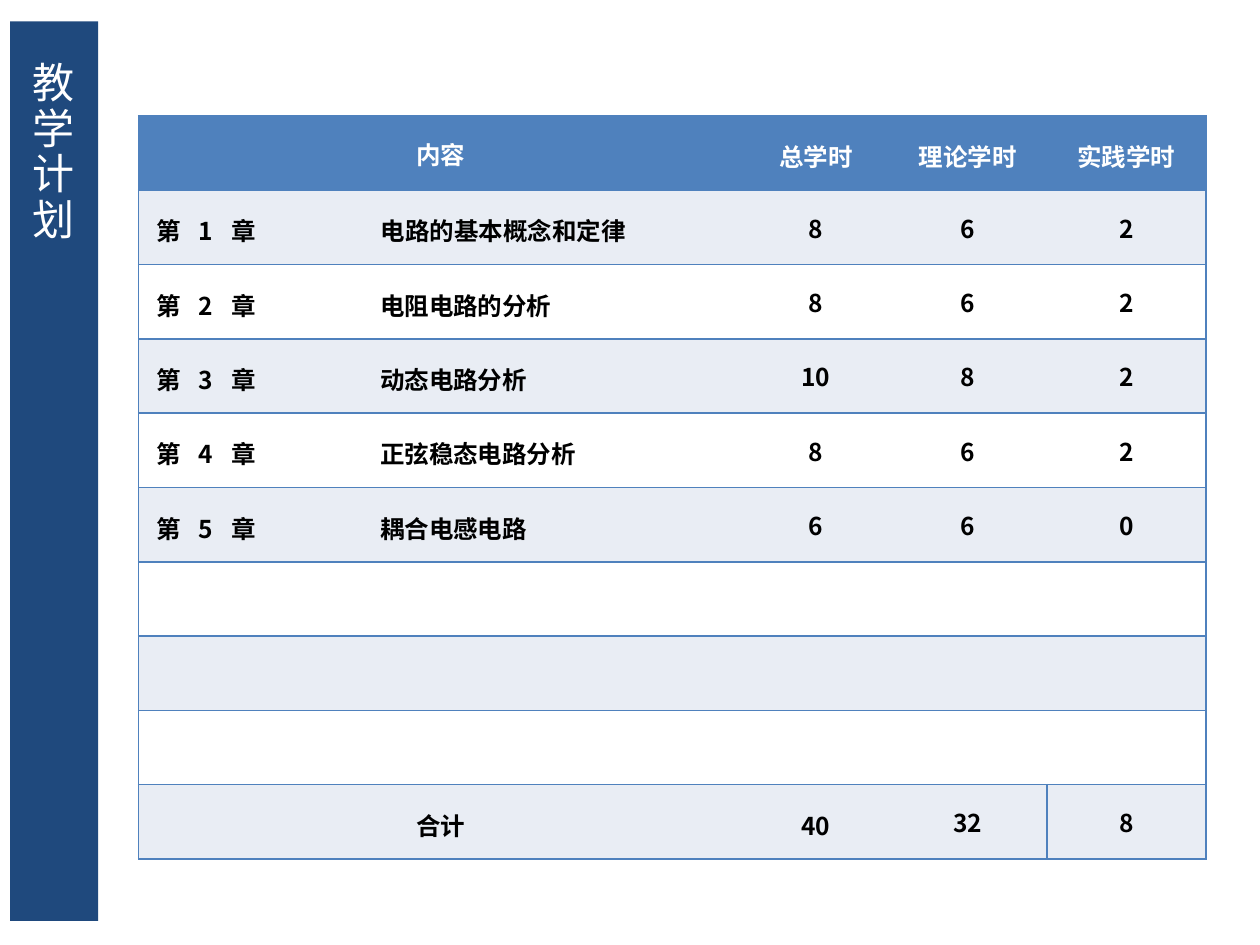
import pptx
import pptx.dml.color
import pptx.enum.shapes
import pptx.enum.text
import pptx.oxml
import pptx.oxml.ns
import pptx.util

Inches = pptx.util.Inches
Pt = pptx.util.Pt
ALIGN = pptx.enum.text.PP_ALIGN
MIDDLE = pptx.enum.text.MSO_ANCHOR.MIDDLE

COLORS = {
    "sidebar": "1F497D",
    "accent": "4F81BD",
    "band": "E9EDF4",
    "white": "FFFFFF",
    "black": "000000",
}
LATIN_FONT = "Cabin"
CHINESE_FONT = "Noto Sans CJK SC"
PLAIN_TABLE_STYLE = "{2D5ABB26-0587-4C30-8999-92F81FD0307C}"

COLUMN_WIDTHS = [1.85, 2.95, 1.15, 1.26, 1.26]
ROW_HEIGHT = 0.59
CHAPTERS = [
    ("电路的基本概念和定律", 8, 6, 2),
    ("电阻电路的分析", 8, 6, 2),
    ("动态电路分析", 10, 8, 2),
    ("正弦稳态电路分析", 8, 6, 2),
    ("耦合电感电路", 6, 6, 0),
]
EMPTY_ROWS = 3
PLAN = (
    [("内容", "", "总学时", "理论学时", "实践学时")]
    + [(f"第 {number} 章", *chapter) for number, chapter in enumerate(CHAPTERS, 1)]
    + [("",) * len(COLUMN_WIDTHS)] * EMPTY_ROWS
    + [("合计", "", 40, 32, 8)]
)
LAST_ROW = len(PLAN) - 1
LAST_COLUMN = len(COLUMN_WIDTHS) - 1


def rgb(name):
    return pptx.dml.color.RGBColor.from_string(COLORS[name])


def apply_format(target, values):
    for attribute, value in values.items():
        setattr(target, attribute, value)


def style_run(run, latin, size, color, bold=False, spacing=0):
    """Set the font of a run; spacing is in points between characters."""
    apply_format(run.font, {"name": latin, "size": Pt(size), "bold": bold})
    run.font.color.rgb = rgb(color)
    properties = run._r.get_or_add_rPr()
    properties.append(pptx.oxml.parse_xml(
        f'<a:ea {pptx.oxml.ns.nsdecls("a")} typeface="{CHINESE_FONT}"/>'))
    if spacing:
        properties.set("spc", str(round(spacing * 100)))


def add_sidebar(slide):
    sidebar = slide.shapes.add_shape(
        pptx.enum.shapes.MSO_SHAPE.RECTANGLE,
        Inches(0.08), Inches(0.17), Inches(0.7), Inches(7.14))
    sidebar.shadow.inherit = False
    sidebar.fill.solid()
    sidebar.fill.fore_color.rgb = rgb("sidebar")
    sidebar.line.fill.background()
    # Keep the bar behind the title
    slide.shapes.element.insert(2, sidebar.element)


def set_vertical_title(slide, text):
    title = slide.shapes.title
    apply_format(title, {"left": Inches(0.12), "top": Inches(0.44),
                         "width": Inches(0.59), "height": Inches(6.72)})
    frame = title.text_frame
    frame.text = text
    apply_format(frame, {"word_wrap": True, "vertical_anchor": MIDDLE,
                         "auto_size": pptx.enum.text.MSO_AUTO_SIZE.NONE})
    title.element.txBody.bodyPr.set("vert", "eaVert")
    heading = frame.paragraphs[0]
    heading.alignment = ALIGN.LEFT
    style_run(heading.runs[0], LATIN_FONT, 24, "white", spacing=2)


def add_borders(cell, sides):
    properties = cell._tc.get_or_add_tcPr()
    for side in sides:
        properties.append(pptx.oxml.parse_xml(
            f'<a:ln{side} {pptx.oxml.ns.nsdecls("a")} w="12700"><a:solidFill>'
            f'<a:srgbClr val="{COLORS["accent"]}"/></a:solidFill></a:ln{side}>'))


def border_sides(row, column):
    """Rules run across every row; only the outside and the last total have uprights."""
    left = column == 0 or (row == LAST_ROW and column == LAST_COLUMN)
    right = column == LAST_COLUMN or (row == LAST_ROW and column == LAST_COLUMN - 1)
    return ("L" if left else "") + ("R" if right else "") + "TB"


def fill_name(row):
    if row == 0:
        return "accent"
    return "band" if row % 2 else "white"


def write_cell(cell, row, column, text):
    apply_format(cell, {"margin_left": Inches(0.07), "margin_right": Inches(0.07),
                        "margin_top": 0, "margin_bottom": 0,
                        "vertical_anchor": MIDDLE})
    if text == "":
        return
    is_chapter = 0 < row < LAST_ROW
    is_number = isinstance(text, int)
    cell.text = str(text)
    paragraph = cell.text_frame.paragraphs[0]
    paragraph.alignment = ALIGN.JUSTIFY if is_chapter and column < 2 else ALIGN.CENTER
    # Chinese text and the grand total sit on looser lines
    if not is_number or (row == LAST_ROW and column == 2):
        paragraph.line_spacing = 1.15
    spacing = 0
    if is_chapter and column == 0:
        cell.margin_left = Inches(0.14)
        spacing = 3.6
    elif row > 1 and is_chapter and column == 1:
        spacing = -0.1
    style_run(paragraph.runs[0], CHINESE_FONT, 14,
              "white" if row == 0 else "black", bold=True, spacing=spacing)


def add_plan_table(slide):
    frame = slide.shapes.add_table(
        len(PLAN), len(COLUMN_WIDTHS), Inches(1.1), Inches(0.92),
        Inches(sum(COLUMN_WIDTHS)), Inches(ROW_HEIGHT * len(PLAN)))
    frame.element.xpath(".//a:tableStyleId")[0].text = PLAIN_TABLE_STYLE
    plan = frame.table
    apply_format(plan, {"first_row": False, "horz_banding": False})
    for column, width in zip(plan.columns, COLUMN_WIDTHS):
        column.width = Inches(width)
    for row, texts in enumerate(PLAN):
        plan.rows[row].height = Inches(ROW_HEIGHT)
        for column, text in enumerate(texts):
            cell = plan.cell(row, column)
            write_cell(cell, row, column, text)
            add_borders(cell, border_sides(row, column))
            cell.fill.solid()
            cell.fill.fore_color.rgb = rgb(fill_name(row))
    # Header and total labels span the chapter and name columns
    for row in (0, LAST_ROW):
        plan.cell(row, 0).merge(plan.cell(row, 1))
    plan.cell(0, 0).margin_bottom = Inches(0.03)


def main():
    presentation = pptx.Presentation()
    apply_format(presentation, {"slide_width": Inches(10), "slide_height": Inches(7.5)})
    slide = presentation.slides.add_slide(presentation.slide_layouts[5])
    add_sidebar(slide)
    set_vertical_title(slide, "教学计划")
    add_plan_table(slide)
    presentation.save("out.pptx")


if __name__ == "__main__":
    main()
